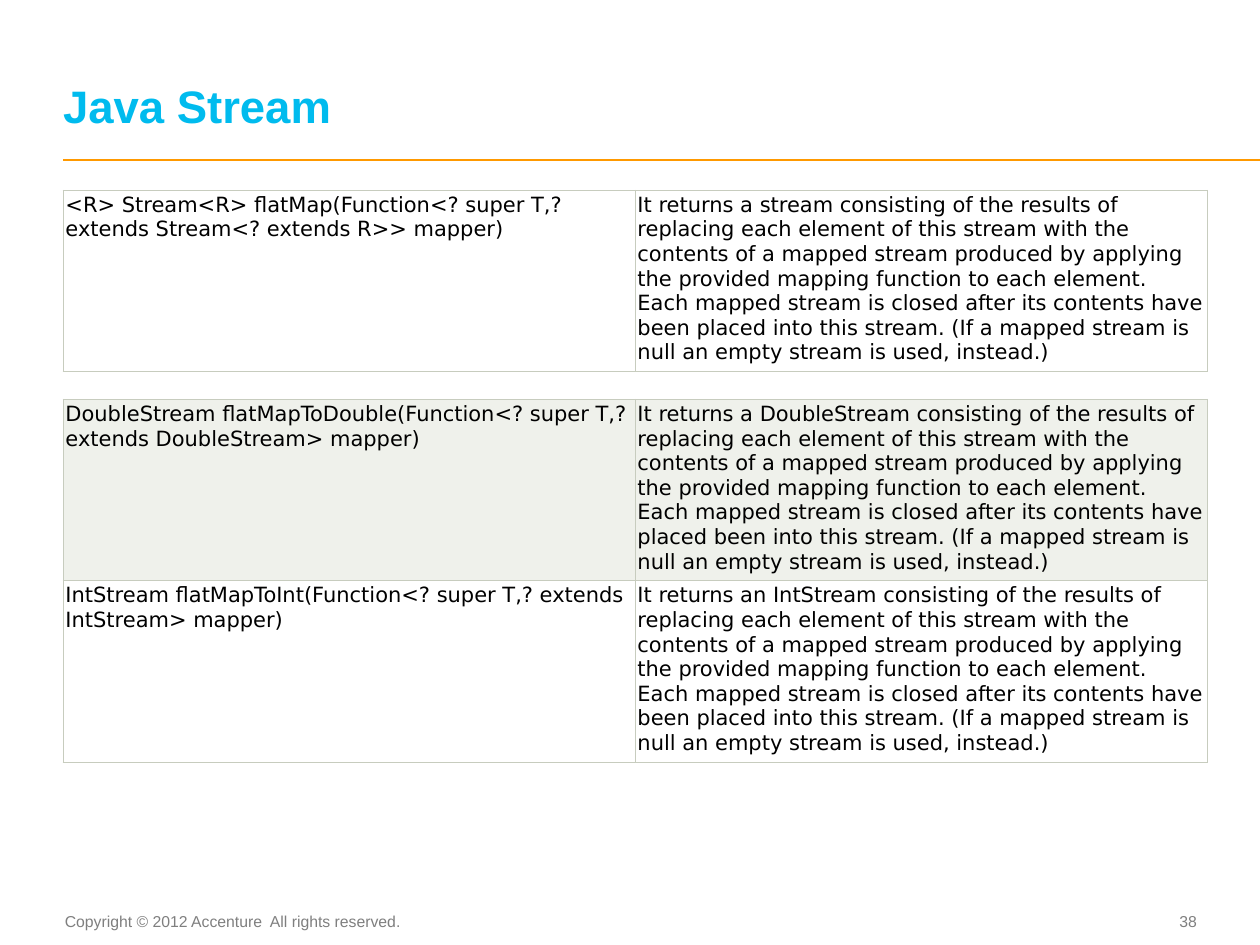
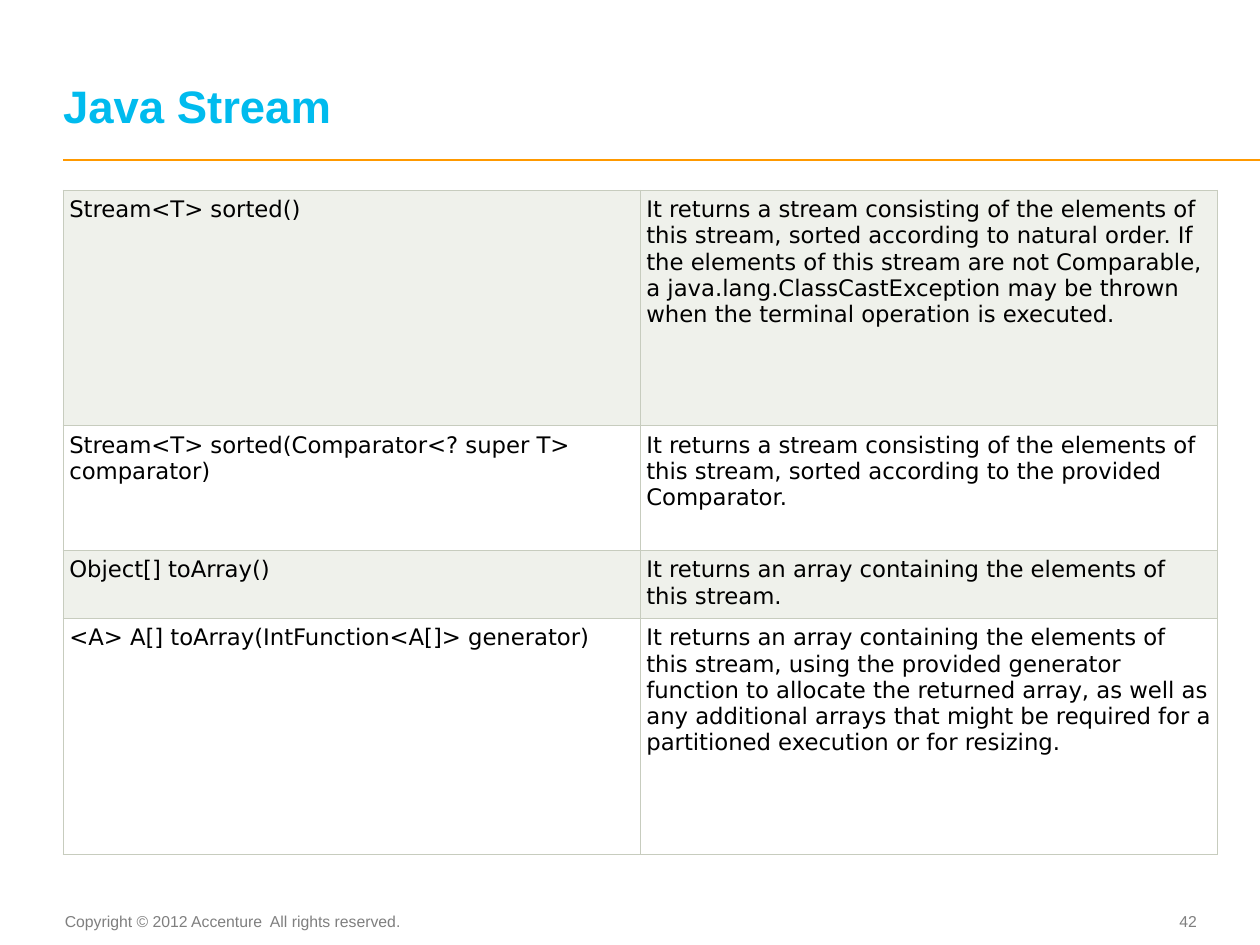
"""Build two slides of Java Stream method reference tables."""
from dataclasses import dataclass

from lxml import etree
from pptx import Presentation
from pptx.dml.color import RGBColor
from pptx.enum.shapes import MSO_CONNECTOR
from pptx.enum.text import MSO_ANCHOR, MSO_AUTO_SIZE, PP_ALIGN
from pptx.oxml.ns import qn
from pptx.util import Inches, Pt

LEFT, CENTER, RIGHT = PP_ALIGN.LEFT, PP_ALIGN.CENTER, PP_ALIGN.RIGHT
TOP, MIDDLE, BOTTOM = MSO_ANCHOR.TOP, MSO_ANCHOR.MIDDLE, MSO_ANCHOR.BOTTOM
STRAIGHT = MSO_CONNECTOR.STRAIGHT
NO_AUTOFIT = MSO_AUTO_SIZE.NONE
TITLE_ONLY = 5


@dataclass(frozen=True)
class Theme:
    """Colours, fonts and type sizes shared by the slides."""
    title: str = "00BBEE"
    rule: str = "FF9900"
    footer: str = "7F7F7F"
    text: str = "000000"
    border: str = "C7CCBE"
    shaded: str = "EFF1EB"
    plain: str = "FFFFFF"
    heading_font: str = "Arial"
    table_font: str = "DejaVu Sans"
    title_size: int = 26
    footer_size: int = 9
    rule_width: float = 1
    border_width: float = 0.6


THEME = Theme()
SLIDE_WIDTH, SLIDE_HEIGHT = 10, 7.5
MARGIN = 0.5
TITLE_BOX = (MARGIN, 0.19, 8.97, 0.86)
RULE_TOP = 1.27
COPYRIGHT_BOX = (0.49, 7.19, 2.81, 0.25)
NUMBER_BOX = (8.91, 7.18, 0.59, 0.27)
COPYRIGHT = "Copyright © 2012 Accenture  All rights reserved."
TABLE_TOP = 1.51

MAPPING = (
    "It returns {} consisting of the results of replacing each element of this stream "
    "with the contents of a mapped stream produced by applying the provided mapping "
    "function to each element. Each mapped stream is closed after its contents have {} "
    "into this stream. (If a mapped stream is null an empty stream is used, instead.)"
)
FLAT_MAP = [
    ("<R> Stream<R> flatMap(Function<? super T,? extends Stream<? extends R>> mapper)",
     MAPPING.format("a stream", "been placed")),
]
FLAT_MAP_PRIMITIVES = [
    ("DoubleStream flatMapToDouble(Function<? super T,? extends DoubleStream> mapper)",
     MAPPING.format("a DoubleStream", "placed been")),
    ("IntStream flatMapToInt(Function<? super T,? extends IntStream> mapper)",
     MAPPING.format("an IntStream", "been placed")),
]
SORTING_AND_ARRAYS = [
    ("Stream<T> sorted()",
     "It returns a stream consisting of the elements of this stream, sorted according to "
     "natural order. If the elements of this stream are not Comparable, a "
     "java.lang.ClassCastException may be thrown when the terminal operation is executed."),
    ("Stream<T> sorted(Comparator<? super T> comparator)",
     "It returns a stream consisting of the elements of this stream, sorted according to "
     "the provided Comparator."),
    ("Object[] toArray()",
     "It returns an array containing the elements of this stream."),
    ("<A> A[] toArray(IntFunction<A[]> generator)",
     "It returns an array containing the elements of this stream, using the provided "
     "generator function to allocate the returned array, as well as any additional arrays "
     "that might be required for a partitioned execution or for resizing."),
]

COMPACT = {"width": 9.08, "size": 12, "inset": 0.02}
ROOMY = {"width": 9.16, "size": 13, "inset": 0.05}
SLIDES = [
    {"number": "38", "tables": [
        {"top": TABLE_TOP, "rows": FLAT_MAP, "heights": [1.41],
         "fills": [THEME.plain], **COMPACT},
        {"top": 3.17, "rows": FLAT_MAP_PRIMITIVES, "heights": [1.41, 1.41],
         "fills": [THEME.shaded, THEME.plain], **COMPACT},
    ]},
    {"number": "42", "tables": [
        {"top": TABLE_TOP, "rows": SORTING_AND_ARRAYS, "heights": [1.87, 0.99, 0.54, 1.87],
         "fills": [THEME.shaded, THEME.plain] * 2, **ROOMY},
    ]},
]


def set_attributes(target, values):
    """Set each named attribute of the target."""
    for name, value in values.items():
        setattr(target, name, value)


def set_margins(target, left, top, right, bottom):
    """Set the inner margins of a text frame or cell in inches."""
    set_attributes(target, {
        "margin_left": Inches(left), "margin_top": Inches(top),
        "margin_right": Inches(right), "margin_bottom": Inches(bottom)})


def format_text(text_frame, text, size, font, color, alignment=LEFT, bold=False):
    """Write one formatted paragraph and return it."""
    text_frame.text = text
    paragraph = text_frame.paragraphs[0]
    paragraph.alignment = alignment
    run_font = paragraph.runs[0].font
    set_attributes(run_font, {"size": Pt(size), "name": font, "bold": bold})
    run_font.color.rgb = RGBColor.from_string(color)
    return paragraph


def add_title(slide, box, text):
    """Place and format the title placeholder."""
    title = slide.shapes.title
    set_attributes(title, dict(zip(("left", "top", "width", "height"), map(Inches, box))))
    text_frame = title.text_frame
    set_attributes(text_frame, {"auto_size": NO_AUTOFIT, "word_wrap": True,
                                "vertical_anchor": BOTTOM})
    set_margins(text_frame, 0, 0, 0, 0)
    paragraph = format_text(text_frame, text, THEME.title_size, THEME.heading_font,
                            THEME.title, bold=True)
    paragraph.line_spacing = Pt(THEME.title_size)


def add_rule(slide, left, top, right):
    """Draw the horizontal rule below the title."""
    rule = slide.shapes.add_connector(
        STRAIGHT, Inches(left), Inches(top), Inches(right), Inches(top))
    rule.line.width = Pt(THEME.rule_width)
    rule.line.color.rgb = RGBColor.from_string(THEME.rule)
    etree.SubElement(rule._element.spPr, qn("a:effectLst"))


def add_footer_text(slide, box, text, alignment, anchor, margins):
    """Add one small grey footer text."""
    text_frame = slide.shapes.add_textbox(*map(Inches, box)).text_frame
    set_attributes(text_frame, {"word_wrap": False, "vertical_anchor": anchor})
    set_margins(text_frame, *margins)
    format_text(text_frame, text, THEME.footer_size, THEME.heading_font,
                THEME.footer, alignment)


def add_borders(cell):
    """Draw a thin line on all four sides of a cell."""
    properties = cell._tc.get_or_add_tcPr()
    for side in ("lnL", "lnR", "lnT", "lnB"):
        line = etree.SubElement(properties, qn(f"a:{side}"), w=str(Pt(THEME.border_width)))
        fill = etree.SubElement(line, qn("a:solidFill"))
        etree.SubElement(fill, qn("a:srgbClr"), val=THEME.border)


def add_method_table(slide, left, top, width, rows, heights, fills, size, inset):
    """Add a table with method signatures and their descriptions."""
    columns = len(rows[0])
    table = slide.shapes.add_table(
        len(rows), columns, Inches(left), Inches(top),
        Inches(width), Inches(sum(heights))).table
    set_attributes(table, {"first_row": False, "horz_banding": False})
    for column in table.columns:
        column.width = Inches(width / columns)
    for row, texts, height, fill in zip(table.rows, rows, heights, fills):
        row.height = Inches(height)
        for cell, text in zip(row.cells, texts):
            add_borders(cell)
            cell.fill.solid()
            cell.fill.fore_color.rgb = RGBColor.from_string(fill)
            cell.vertical_anchor = TOP
            set_margins(cell, inset, inset, inset, inset)
            format_text(cell.text_frame, text, size, THEME.table_font, THEME.text)


def add_method_slide(presentation, number, tables):
    """Add a slide with title, rule, tables and footer."""
    slide = presentation.slides.add_slide(presentation.slide_layouts[TITLE_ONLY])
    add_rule(slide, MARGIN, RULE_TOP, SLIDE_WIDTH)
    add_footer_text(slide, COPYRIGHT_BOX, COPYRIGHT, CENTER, TOP, (0, 0.05, 0.1, 0.05))
    add_footer_text(slide, NUMBER_BOX, number, RIGHT, MIDDLE, (0, 0, 0, 0))
    add_title(slide, TITLE_BOX, "Java Stream")
    for table in tables:
        add_method_table(slide, MARGIN, **table)


def main():
    """Build and save the presentation."""
    presentation = Presentation()
    set_attributes(presentation, {"slide_width": Inches(SLIDE_WIDTH),
                                  "slide_height": Inches(SLIDE_HEIGHT)})
    for content in SLIDES:
        add_method_slide(presentation, **content)
    presentation.save("out.pptx")


if __name__ == "__main__":
    main()
